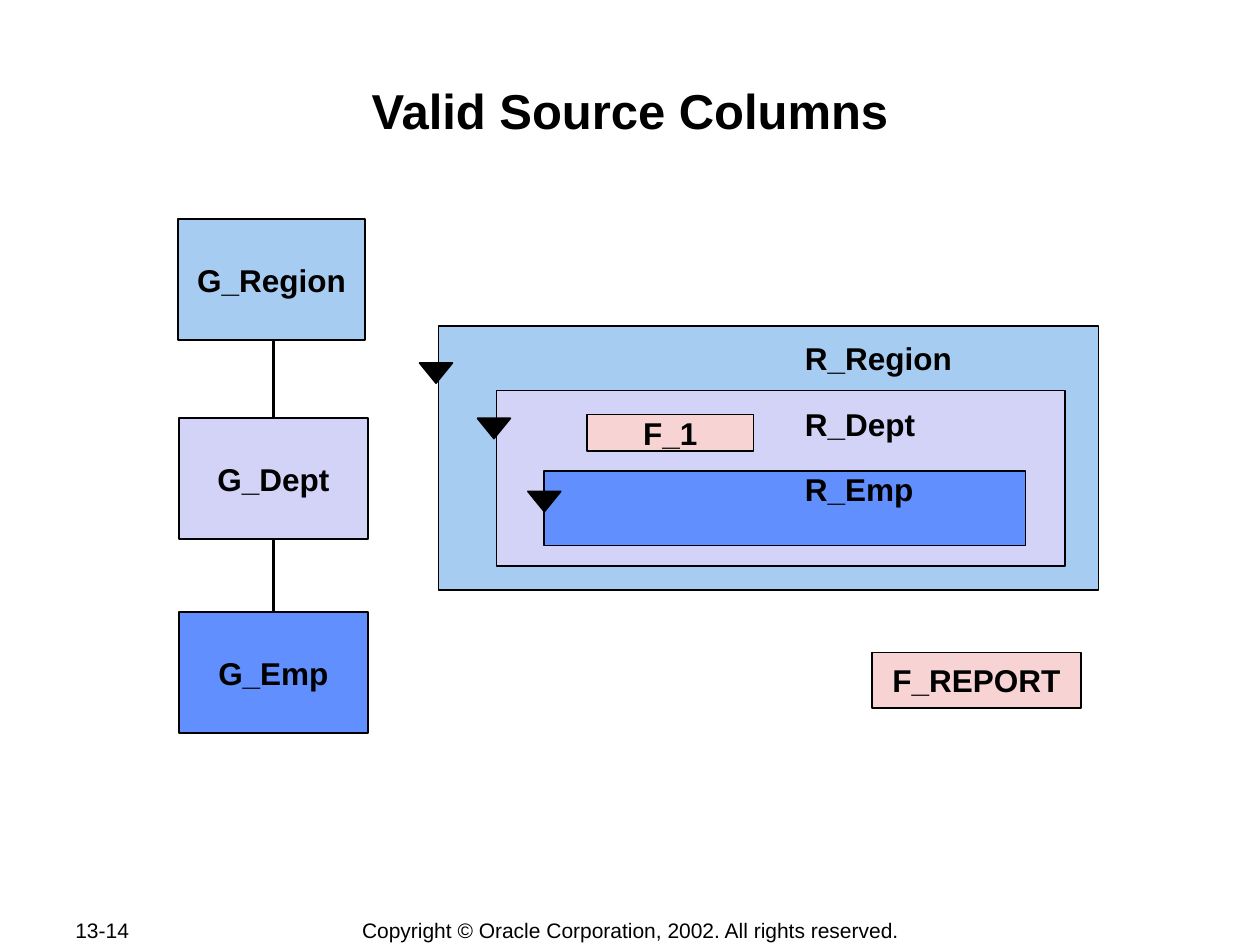
from dataclasses import dataclass

from lxml import etree
from pptx import Presentation
from pptx.dml.color import RGBColor
from pptx.enum.shapes import MSO_CONNECTOR, MSO_SHAPE
from pptx.enum.text import MSO_ANCHOR, PP_ALIGN
from pptx.oxml.ns import qn
from pptx.util import Inches, Pt

RECTANGLE = MSO_SHAPE.RECTANGLE
TRIANGLE = MSO_SHAPE.ISOSCELES_TRIANGLE
STRAIGHT = MSO_CONNECTOR.STRAIGHT
TOP, MIDDLE = MSO_ANCHOR.TOP, MSO_ANCHOR.MIDDLE
LEFT, CENTER = PP_ALIGN.LEFT, PP_ALIGN.CENTER


@dataclass(frozen=True)
class Theme:
    font: str = "Arial"
    ink: str = "000000"
    region: str = "A7CCF1"
    dept: str = "D3D3F8"
    emp: str = "618FFD"
    field: str = "F8D3D3"
    title_size: int = 28
    label_size: int = 18
    footer_size: int = 12
    outline: int = 1
    link: int = 2


class SlideBuilder:
    def __init__(self, slide, theme):
        self.slide = slide
        self.theme = theme

    def color(self, value):
        return RGBColor.from_string(value)

    def fill_text(self, frame, lines, size, bold=True, align=CENTER, anchor=MIDDLE,
                  wrap=False, line_spacing=None, gap=0):
        frame.word_wrap = wrap
        frame.vertical_anchor = anchor
        for index, line in enumerate(lines):
            paragraph = frame.paragraphs[0] if index == 0 else frame.add_paragraph()
            paragraph.text = line
            paragraph.alignment = align
            if line_spacing:
                paragraph.line_spacing = line_spacing
            if index and gap:
                paragraph.space_before = Pt(gap)
            paragraph.font.name = self.theme.font
            paragraph.font.size = Pt(size)
            paragraph.font.bold = bold
            paragraph.font.color.rgb = self.color(self.theme.ink)

    def shape(self, kind, box, fill):
        shape = self.slide.shapes.add_shape(kind, *map(Inches, box))
        shape.shadow.inherit = False
        shape.fill.solid()
        shape.fill.fore_color.rgb = self.color(fill)
        shape.line.color.rgb = self.color(self.theme.ink)
        shape.line.width = Pt(self.theme.outline)
        return shape

    def box(self, box, fill, label=None):
        shape = self.shape(RECTANGLE, box, fill)
        if label:
            self.fill_text(shape.text_frame, [label], self.theme.label_size)

    def marker(self, left, top):
        self.shape(TRIANGLE, (left, top, 0.26, 0.16), self.theme.ink).rotation = 180

    def line(self, x, top, bottom):
        connector = self.slide.shapes.add_connector(
            STRAIGHT, Inches(x), Inches(top), Inches(x), Inches(bottom))
        connector.line.color.rgb = self.color(self.theme.ink)
        connector.line.width = Pt(self.theme.link)
        etree.SubElement(connector._element.spPr, qn("a:effectLst"))

    def text(self, box, lines, size, insets=(0.1, 0.05, 0.1, 0.05), **style):
        frame = self.slide.shapes.add_textbox(*map(Inches, box)).text_frame
        (frame.margin_left, frame.margin_top,
         frame.margin_right, frame.margin_bottom) = map(Inches, insets)
        self.fill_text(frame, lines, size, **style)


def main():
    deck = Presentation()
    deck.slide_width, deck.slide_height = Inches(10), Inches(7.5)
    theme = Theme()
    builder = SlideBuilder(deck.slides.add_slide(deck.slide_layouts[6]), theme)

    builder.text((0.5, 7.28, 1.06, 0.2), ["13-14"], theme.footer_size,
                 bold=False, align=LEFT, wrap=True)
    builder.text((2.76, 7.28, 4.49, 0.21),
                 ["Copyright © Oracle Corporation, 2002. All rights reserved."],
                 theme.footer_size, bold=False)
    builder.text((1, 0.58, 8, 0.96), ["Valid Source Columns"], theme.title_size,
                 insets=(0.01, 0.06, 0.01, 0.01), anchor=TOP, wrap=True)

    builder.line(2.17, 2.11, 5.26)
    groups = [
        ("G_Region", 1.41, 1.74, 1.49, theme.region),
        ("G_Dept", 1.42, 3.32, 1.5, theme.dept),
        ("G_Emp", 1.42, 4.86, 1.5, theme.emp),
    ]
    for name, left, top, width, fill in groups:
        builder.box((left, top, width, 0.96), fill, name)

    frames = [
        ((3.48, 2.59, 5.24, 2.09), theme.region, (3.33, 2.88)),
        ((3.94, 3.1, 4.51, 1.39), theme.dept, (3.79, 3.32)),
        ((4.32, 3.74, 3.82, 0.59), theme.emp, (4.19, 3.9)),
    ]
    for frame, fill, marker in frames:
        builder.box(frame, fill)
        builder.marker(*marker)
    builder.text((6.29, 2.69, 1.37, 1.38), ["R_Region", "R_Dept", "R_Emp"],
                 theme.label_size, align=LEFT, anchor=TOP, wrap=True,
                 line_spacing=0.85, gap=19)

    builder.box((6.92, 5.18, 1.66, 0.44), theme.field, "F_REPORT")
    builder.box((4.66, 3.29, 1.32, 0.29), theme.field, "F_1")

    deck.save("out.pptx")


if __name__ == "__main__":
    main()
